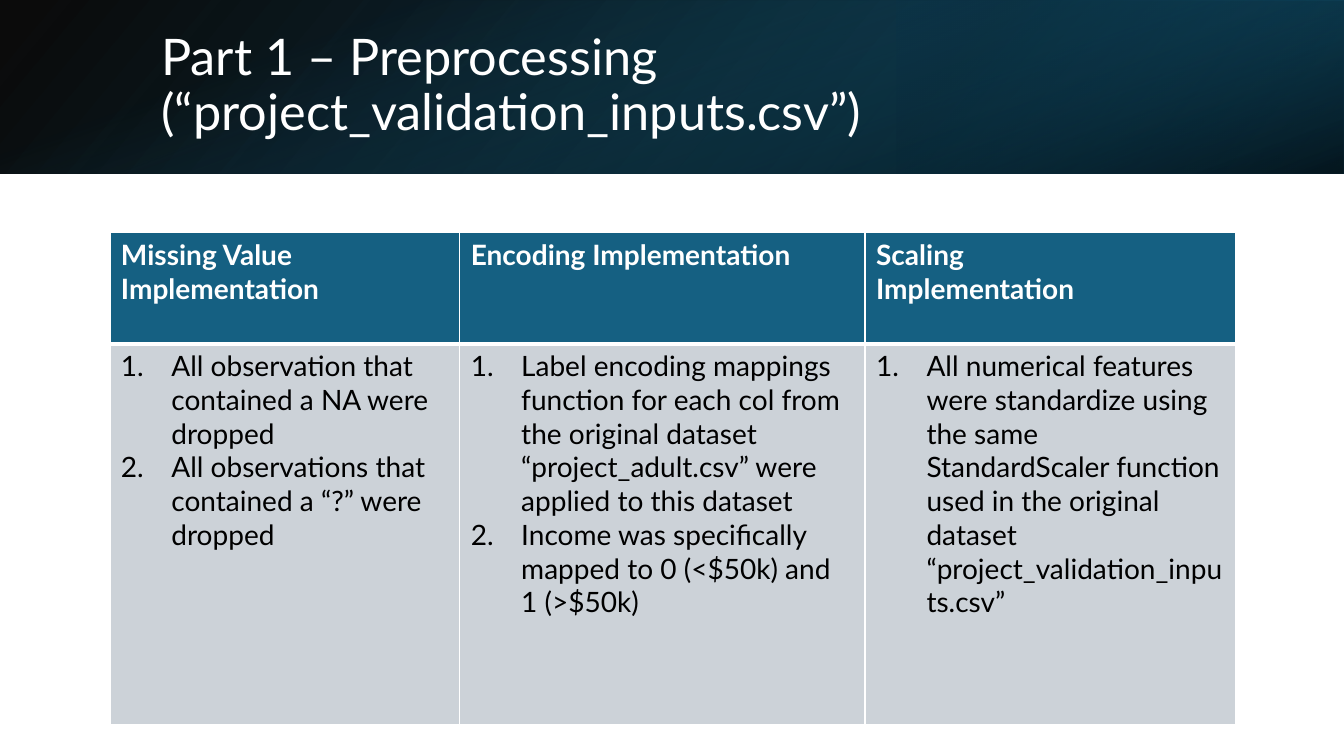
from pptx import Presentation
from pptx.dml.color import RGBColor
from pptx.enum.shapes import MSO_SHAPE as SHAPE
from pptx.enum.text import MSO_ANCHOR as ANCHOR, PP_ALIGN as ALIGN
from pptx.oxml import parse_xml
from pptx.oxml.ns import nsdecls
from pptx.util import Inches, Pt

HUES = {"white": "FFFFFF", "black": "000000", "teal": "156082",
        "mid": "104862", "deep": "0B3041", "pale": "CCD2D8"}
A = nsdecls("a")


def write(frame, lines, size=20, hue="black", bold=False, number=False, space=None):
    for i, line in enumerate(lines):
        para = frame.paragraphs[0] if i == 0 else frame.add_paragraph()
        para.alignment = ALIGN.LEFT
        para.line_spacing = space
        if number:
            props = para._p.get_or_add_pPr()
            props.set("marL", str(Inches(0.5)))
            props.set("indent", str(Inches(-0.5)))
            props.append(parse_xml(f'<a:buFont {A} typeface="+mj-lt"/>'))
            props.append(parse_xml(f'<a:buAutoNum {A} type="arabicPeriod"/>'))
        run = para.add_run()
        run.text = line
        font = run.font
        font.name, font.size, font.bold = "Lato", Pt(size), bold
        font.color.rgb = RGBColor.from_string(HUES[hue])


deck = Presentation()
deck.slide_width, deck.slide_height = Inches(13.33), Inches(7.5)
slide = deck.slides.add_slide(deck.slide_layouts[5])
shapes = slide.shapes

# Banner: box, rotation, flip, gradient angle, stops of (place, colour, opacity)
bands = [
    ((0, 0, 13.33, 1.72), 0, True, 140, [(0, "black", 96), (100, "mid", 100)]),
    ((8.89, 0, 4.44, 1.72), 180, True, 320, [(19, "deep", 68), (100, "teal", 79)]),
    ((5.8, -5.8, 1.72, 13.33), 90, False, 340, [(23, "teal", 0), (99, "black", 74)]),
]
for box, turn, flip, angle, stops in bands:
    band = shapes.add_shape(SHAPE.RECTANGLE, *map(Inches, box))
    band.shadow.inherit = False
    band.line.fill.background()
    band.rotation = turn
    props = band.element.spPr
    if flip:
        props.xfrm.set("flipH", "1")
    marks = "".join(
        f'<a:gs pos="{place * 1000}"><a:srgbClr val="{HUES[hue]}">'
        f'<a:alpha val="{alpha * 1000}"/></a:srgbClr></a:gs>'
        for place, hue, alpha in stops)
    props.prstGeom.addnext(parse_xml(
        f'<a:gradFill {A} rotWithShape="1"><a:gsLst>{marks}</a:gsLst>'
        f'<a:lin ang="{angle * 60000}" scaled="0"/></a:gradFill>'))

# Title, raised above the banner
title = shapes.title
title.left, title.top, title.width, title.height = map(Inches, (1.5, 0.38, 10.98, 0.96))
title.text_frame.vertical_anchor = ANCHOR.MIDDLE
title.text_frame.word_wrap = True
write(title.text_frame, ["Part 1 – Preprocessing (“project_validation_inputs.csv”)"],
      size=36, hue="white", space=0.9)
title.element.getparent().append(title.element)

# Table
heads = [["Missing Value Implementation"], ["Encoding Implementation"],
         ["Scaling", "Implementation"]]
steps = [
    ["All observation that contained a NA were dropped",
     "All observations that contained a “?” were dropped"],
    ["Label encoding mappings function for each col from the original dataset "
     "“project_adult.csv” were applied to this dataset",
     "Income was specifically mapped to 0 (<$50k) and 1 (>$50k)"],
    ["All numerical features were standardize using the same StandardScaler function "
     "used in the original dataset “project_validation_inputs.csv”"],
]
table = shapes.add_table(2, 3, *map(Inches, (1.09, 2.31, 11.17, 4.88))).table
for col, width in zip(table.columns, (3.47, 4.02, 3.68)):
    col.width = Inches(width)
for row, height in zip(table.rows, (1.1, 3.78)):
    row.height = Inches(height)

for r, texts in enumerate((heads, steps)):
    head = r == 0
    for c, lines in enumerate(texts):
        cell = table.cell(r, c)
        cell.margin_left = cell.margin_right = Inches(0.11)
        cell.margin_top = cell.margin_bottom = Inches(0.05)
        cell.fill.solid()
        cell.fill.fore_color.rgb = RGBColor.from_string(HUES["teal" if head else "pale"])
        write(cell.text_frame, lines, hue="white" if head else "black",
              bold=head, number=not head)
        sides = {"L": 1, "R": 1, "T": 1 if head else 3, "B": 3 if head else 1}
        for i, (side, weight) in enumerate(sides.items()):
            cell._tc.tcPr.insert(i, parse_xml(
                f'<a:ln{side} {A} w="{Pt(weight)}"><a:solidFill>'
                f'<a:srgbClr val="{HUES["white"]}"/></a:solidFill></a:ln{side}>'))

deck.save("out.pptx")
